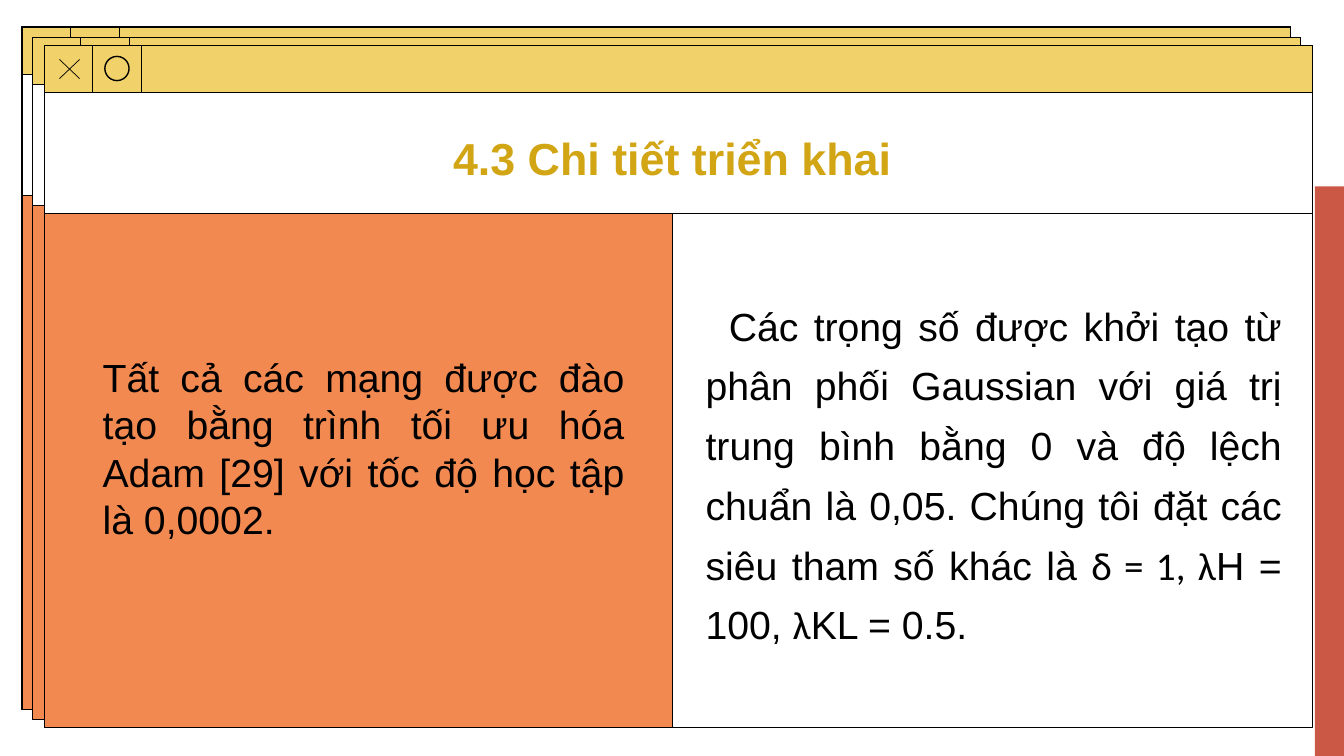
from lxml import etree
from pptx import Presentation, util as u
from pptx.dml.color import RGBColor
from pptx.enum import shapes, text
from pptx.oxml.ns import qn

BLACK = RGBColor(0x00, 0x00, 0x00)
WHITE = RGBColor(0xFF, 0xFF, 0xFF)
YELLOW = RGBColor(0xF1, 0xD1, 0x6A)
ORANGE = RGBColor(0xF1, 0x89, 0x51)
RED = RGBColor(0xCB, 0x58, 0x45)
GOLD = RGBColor(0xD2, 0xA5, 0x14)
RECT = shapes.MSO_SHAPE.RECTANGLE
OVAL = shapes.MSO_SHAPE.OVAL
BAR_H, HEAD_H, CELL_W = 0.47, 1.2, 0.48


def add_box(s, x, y, w, h, fill=None, line=BLACK, kind=RECT):
    """Add a preset shape with an optional fill and outline."""
    sp = s.shapes.add_shape(kind, *map(u.Inches, (x, y, w, h)))
    sp.shadow.inherit = False
    if fill is None:
        sp.fill.background()
    else:
        sp.fill.solid()
        sp.fill.fore_color.rgb = fill
    if line is None:
        sp.line.fill.background()
    else:
        sp.line.color.rgb = line
        sp.line.width = u.Pt(1)


def add_line(s, x1, y1, x2, y2):
    """Add a thin black straight line."""
    cx = s.shapes.add_connector(shapes.MSO_CONNECTOR.STRAIGHT,
                                *map(u.Inches, (x1, y1, x2, y2)))
    cx.line.color.rgb = BLACK
    cx.line.width = u.Pt(0.5)
    etree.SubElement(cx._element.spPr, qn("a:effectLst"))


def add_text(s, x, y, w, h, runs, size=28, color=BLACK, bold=False,
             align=text.PP_ALIGN.JUSTIFY, indent=0, spacing=None, after=0):
    """Add a one-paragraph text box from (text, font) runs."""
    tb = s.shapes.add_textbox(*map(u.Inches, (x, y, w, h)))
    tf = tb.text_frame
    tf.word_wrap = True
    tf.auto_size = text.MSO_AUTO_SIZE.SHAPE_TO_FIT_TEXT
    p = tf.paragraphs[0]
    p.alignment = align
    p.line_spacing = spacing
    p.space_after = u.Inches(after)
    if indent:
        pPr = p._p.get_or_add_pPr()
        pPr.set("marL", "0")
        pPr.set("indent", str(u.Inches(indent)))
    for content, font in runs:
        r = p.add_run()
        r.text = content
        r.font.name = font
        r.font.size = u.Pt(size)
        r.font.bold = bold
        r.font.color.rgb = color


def add_window(s, x, y, w, h, icons=False):
    """Draw a window with a title bar, a heading band and a left pane."""
    head_y = y + BAR_H
    pane_y = head_y + HEAD_H
    add_box(s, x, y, w, h, WHITE)
    add_box(s, x, y, w, BAR_H, YELLOW)
    for i in (1, 2):
        add_line(s, x + i * CELL_W, y, x + i * CELL_W, head_y)
    if icons:
        left, right, top, bottom = x + 0.15, x + 0.35, y + 0.14, y + 0.33
        add_line(s, left, top, right, bottom)
        add_line(s, right, top, left, bottom)
        add_box(s, x + 0.6, y + 0.11, 0.24, 0.24, kind=OVAL)
    add_box(s, x, pane_y, 6.23, y + h - pane_y, ORANGE)
    add_box(s, x, head_y, w, HEAD_H, WHITE)


def add_content(s, x, y):
    """Place the heading and both paragraphs inside the front window."""
    add_text(s, x + 0.48, y + 3.01, 5.37, 1.99,
             [("Tất cả các mạng được đào tạo bằng trình tối ưu hóa Adam [29] "
               "với tốc độ học tập là 0,0002.", "Arial")])
    add_text(s, x + 0.78, y + 0.8, 10.9, 0.64,
             [("4.3 Chi tiết triển khai", "Arial")], size=32, color=GOLD,
             bold=True, align=text.PP_ALIGN.CENTER)
    add_text(s, x + 6.46, y + 2.37, 5.91, 3.64,
             [("Các trọng số được khởi tạo từ phân phối Gaussian với giá trị "
               "trung bình bằng 0 và độ lệch chuẩn là 0,05. Chúng tôi đặt các "
               "siêu tham số khác là ", "Arial"),
              ("δ = 1, λ", "Calibri"), ("H = 100, ", "Arial"),
              ("λ", "Calibri"), ("KL = 0.5.", "Arial")],
             indent=0.23, spacing=1.27, after=0.1)


def main():
    """Build and save the slide."""
    prs = Presentation()
    prs.slide_width, prs.slide_height = u.Inches(13.33), u.Inches(7.5)
    s = prs.slides.add_slide(prs.slide_layouts[6])
    for x, y, front in ((0.22, 0.27, False), (0.32, 0.37, False),
                        (0.44, 0.45, True)):
        add_window(s, x, y, 12.58, 6.77, icons=front)
    add_box(s, 13.04, 1.85, 0.29, 5.65, RED, line=None)
    add_content(s, 0.44, 0.45)
    prs.save("out.pptx")


if __name__ == "__main__":
    main()
